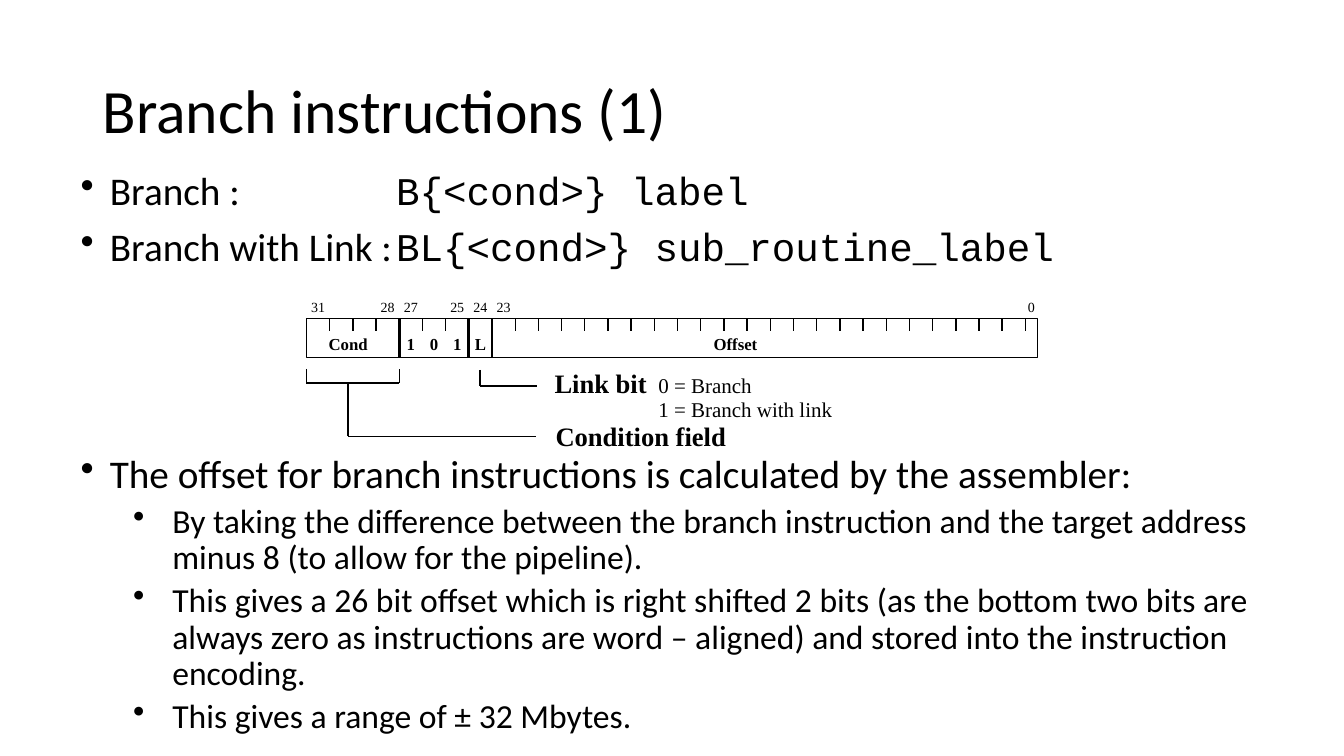
import dataclasses

import pptx
import pptx.dml.color
import pptx.enum.shapes
import pptx.enum.text
import pptx.oxml.ns
import pptx.util
from lxml import etree

Inches = pptx.util.Inches
Pt = pptx.util.Pt
MIDDLE = pptx.enum.text.MSO_ANCHOR.MIDDLE
CENTER = pptx.enum.text.PP_ALIGN.CENTER


@dataclasses.dataclass(frozen=True)
class Theme:
    ink = pptx.dml.color.RGBColor(0x00, 0x00, 0x00)
    sans: str = "Calibri"
    code: str = "Courier New"
    serif: str = "Times New Roman"
    title: float = 44
    point: float = 28
    detail: float = 24
    callout: float = 19
    meaning: float = 15
    field: float = 12
    bit: float = 10
    thin: float = 1
    thick: float = 2


THEME = Theme()

SYNTAX = [("Branch :", "B{<cond>} label"),
          ("Branch with Link :", "BL{<cond>} sub_routine_label")]
OFFSET_POINT = "The offset for branch instructions is calculated by the assembler:"
OFFSET_DETAILS = [
    "By taking the difference between the branch instruction and the target "
    "address minus 8 (to allow for the pipeline).",
    "This gives a 26 bit offset which is right shifted 2 bits (as the bottom two "
    "bits are always zero as instructions are word – aligned) and stored into the "
    "instruction encoding.",
    "This gives a range of ± 32 Mbytes.",
]

BITS = 32
BIT_WIDTH = 0.23
FIELD_STARTS = (4, 7, 8)
NUMBERED_BITS = (31, 28, 27, 25, 24, 23, 0)
# Field label and its centre, counted in bits from the left end
FIELD_LABELS = [("Cond", 1.8), ("1", 4.5), ("0", 5.5), ("1", 6.5), ("L", 7.5),
                ("Offset", 18.5)]


def add_text_frame(slide, left, top, width, height, insets=(0.07, 0.03), anchor=None):
    box = slide.shapes.add_textbox(*map(Inches, (left, top, width, height)))
    frame = box.text_frame
    across, down = map(Inches, insets)
    settings = {"word_wrap": True, "margin_left": across, "margin_right": across,
                "margin_top": down, "margin_bottom": down, "vertical_anchor": anchor}
    for name, value in settings.items():
        setattr(frame, name, value)
    return frame


def add_paragraph(frame, runs, tab=None, bullet=None, **settings):
    """Add runs of (text, size, font, bold); bullet is (indent, hanging) in inches."""
    paragraph = frame.paragraphs[0]
    if paragraph.runs:
        paragraph = frame.add_paragraph()
    for name, value in settings.items():
        setattr(paragraph, name, value)
    properties = paragraph._p.get_or_add_pPr()
    if bullet:
        indent, hanging = bullet
        properties.set("marL", str(Inches(indent)))
        properties.set("indent", str(-Inches(hanging)))
        mark = etree.SubElement(properties, pptx.oxml.ns.qn("a:buChar"))
        mark.set("char", "•")
    if tab:
        stops = etree.SubElement(properties, pptx.oxml.ns.qn("a:tabLst"))
        stop = etree.SubElement(stops, pptx.oxml.ns.qn("a:tab"))
        stop.set("pos", str(Inches(tab)))
        stop.set("algn", "l")
    for text, size, face, bold in runs:
        run = paragraph.add_run()
        run.text = text
        for name, value in {"size": Pt(size), "name": face, "bold": bold}.items():
            setattr(run.font, name, value)
        run.font.color.rgb = THEME.ink


def add_line(slide, start, end, weight=THEME.thin):
    line = slide.shapes.add_connector(pptx.enum.shapes.MSO_CONNECTOR.STRAIGHT,
                                      *map(Inches, (*start, *end)))
    line.line.color.rgb = THEME.ink
    line.line.width = Pt(weight)
    etree.SubElement(line._element.spPr, pptx.oxml.ns.qn("a:effectLst"))


def add_title(slide, left, top, width, height):
    frame = add_text_frame(slide, left, top, width, height, (0.1, 0.05), MIDDLE)
    add_paragraph(frame, [("Branch instructions (1)", THEME.title, THEME.sans, False)],
                  line_spacing=0.9)


def add_body(slide, left, top, width, height):
    frame = add_text_frame(slide, left, top, width, height)
    point = {"bullet": (0.29, 0.29), "line_spacing": 0.9}
    for row, (label, syntax) in enumerate(SYNTAX):
        add_paragraph(frame, [(label + "\t", THEME.point, THEME.sans, False),
                              (syntax, THEME.point, THEME.code, False)],
                      tab=3.13, space_before=Pt(10 if row else 0), **point)
    # The space before this point leaves room for the encoding diagram
    add_paragraph(frame, [(OFFSET_POINT, THEME.point, THEME.sans, False)],
                  space_before=Pt(132), **point)
    for detail in OFFSET_DETAILS:
        add_paragraph(frame, [(detail, THEME.detail, THEME.sans, False)],
                      bullet=(0.91, 0.39), line_spacing=0.9, space_before=Pt(5))


def add_encoding(slide, left, top, width):
    """Draw the instruction word with its bit numbers and field labels."""
    bar_top, bar_height = top + 0.23, 0.39

    def edge(bit):
        return left + min(bit * BIT_WIDTH, width)

    def add_label(text, center, label_top, size, bold):
        frame = add_text_frame(slide, center - 0.4, label_top, 0.8, 0.23, (0, 0), MIDDLE)
        add_paragraph(frame, [(text, size, THEME.serif, bold)], alignment=CENTER)

    bar = slide.shapes.add_shape(pptx.enum.shapes.MSO_SHAPE.RECTANGLE,
                                 *map(Inches, (left, bar_top, width, bar_height)))
    bar.shadow.inherit = False
    bar.fill.background()
    bar.line.color.rgb = THEME.ink
    bar.line.width = Pt(THEME.thin)

    for bit in range(1, BITS):
        starts_field = bit in FIELD_STARTS
        add_line(slide, (edge(bit), bar_top),
                 (edge(bit), bar_top + (bar_height if starts_field else 0.12)),
                 THEME.thick if starts_field else THEME.thin)
    for number in NUMBERED_BITS:
        place = BITS - 1 - number
        add_label(str(number), (edge(place) + edge(place + 1)) / 2, top, THEME.bit, False)
    for text, place in FIELD_LABELS:
        add_label(text, edge(place), bar_top + 0.14, THEME.field, True)


def add_callouts(slide, left, top):
    """Draw the leader lines and explanations below the instruction word."""
    leaders = [
        [(0, 0), (0, 0.14), (0.92, 0.14), (0.92, 0)],
        [(0.41, 0.14), (0.41, 0.67), (2.28, 0.67)],
        [(1.72, 0.01), (1.72, 0.17), (2.29, 0.17)],
    ]
    for leader in leaders:
        corners = [(left + x, top + y) for x, y in leader]
        for start, end in zip(corners, corners[1:]):
            add_line(slide, start, end)

    link = add_text_frame(slide, left + 2.39, top - 0.01, 3.2, 0.57)
    meaning = (THEME.meaning, THEME.serif, False)
    for runs in ([("Link bit\t", THEME.callout, THEME.serif, True),
                  ("0 = Branch", *meaning)],
                 [("\t1 = Branch with link", *meaning)]):
        add_paragraph(link, runs, tab=1.03, line_spacing=0.89)

    condition = add_text_frame(slide, left + 2.4, top + 0.52, 2.2, 0.34)
    add_paragraph(condition, [("Condition field", THEME.callout, THEME.serif, True)],
                  line_spacing=0.88)


def main():
    deck = pptx.Presentation()
    deck.slide_width, deck.slide_height = Inches(13.33), Inches(7.5)
    slide = deck.slides.add_slide(deck.slide_layouts[6])
    add_body(slide, 0.73, 1.67, 12.1, 5.7)
    add_title(slide, 0.92, 0.4, 11.5, 1.45)
    add_encoding(slide, 3.04, 2.93, 7.25)
    add_callouts(slide, 3.04, 3.66)
    deck.save("out.pptx")


if __name__ == "__main__":
    main()
